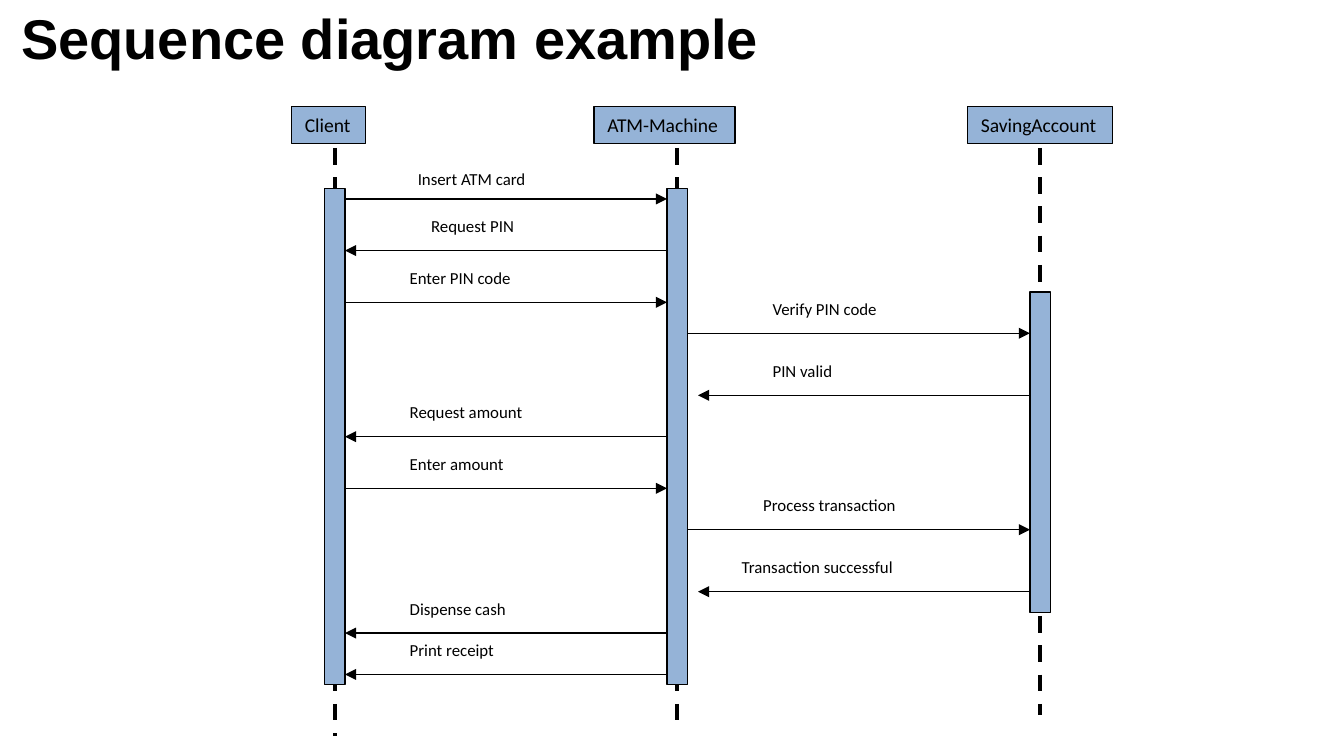
from pptx import Presentation
from pptx.dml.color import RGBColor
from pptx.enum.dml import MSO_LINE
from pptx.enum.shapes import MSO_CONNECTOR, MSO_SHAPE
from pptx.enum.text import MSO_ANCHOR, MSO_AUTO_SIZE, PP_ALIGN
from pptx.oxml.ns import qn
from pptx.util import Inches, Pt
from lxml.etree import SubElement

BLACK = RGBColor(0x00, 0x00, 0x00)
BLUE = RGBColor(0x95, 0xB3, 0xD7)
WHITE = RGBColor(0xFF, 0xFF, 0xFF)

WIDE = Inches(10)
HIGH = WIDE * 9 // 16
UNIT = 1 / 13
TOP = 1.48
COLS = (2.49, 5.04, 7.74)

HEADS = (
    ("Client", 2.17, 0.55),
    ("ATM-Machine", 4.42, 1.05),
    ("SavingAccount", 7.2, 1.08),
)
ENDS = (5.48, 5.4, 5.32)
BARS = ((-1, 48), (-1, 48), (9, 31))

CALLS = (
    ("Insert ATM card", 0, 0, 1, 3.01, 1.02),
    ("Request PIN", 5, 1, 0, 3.11, 0.83),
    ("Enter PIN code", 10, 0, 1, 2.95, 0.96),
    ("Verify PIN code", 13, 1, 2, 5.65, 0.99),
    ("PIN valid", 19, 2, 1, 5.65, 0.65),
    ("Request amount", 23, 1, 0, 2.95, 1.05),
    ("Enter amount", 28, 0, 1, 2.95, 0.91),
    ("Process transaction", 32, 1, 2, 5.58, 1.2),
    ("Transaction successful", 38, 2, 1, 5.42, 1.34),
    ("Dispense cash", 42, 1, 0, 2.95, 0.92),
    ("Print receipt", 46, 1, 0, 2.95, 0.84),
)


def row(n):
    """Return the height on the slide of a time row."""
    return TOP + n * UNIT


def write(shape, text, size, face="Calibri", bold=False, wrap=False):
    """Put one left-aligned paragraph into a shape."""
    frame = shape.text_frame
    frame.word_wrap = wrap
    frame.auto_size = MSO_AUTO_SIZE.NONE if wrap else MSO_AUTO_SIZE.SHAPE_TO_FIT_TEXT
    frame.vertical_anchor = MSO_ANCHOR.TOP
    para = frame.paragraphs[0]
    para.text = text
    para.alignment = PP_ALIGN.LEFT
    font = para.font
    font.name, font.size, font.bold = face, Pt(size), bold
    font.color.rgb = BLACK


def label(slide, text, size, box, **style):
    """Add a text box."""
    shape = slide.shapes.add_textbox(*map(Inches, box))
    write(shape, text, size, **style)


def block(slide, *box):
    """Add a blue rectangle with a thin black outline."""
    shape = slide.shapes.add_shape(MSO_SHAPE.RECTANGLE, *map(Inches, box))
    shape.shadow.inherit = False
    shape.fill.solid()
    shape.fill.fore_color.rgb = BLUE
    shape.line.color.rgb = BLACK
    shape.line.width = Pt(0.75)
    return shape


def link(slide, ends, width):
    """Add a straight black line without a shadow."""
    line = slide.shapes.add_connector(MSO_CONNECTOR.STRAIGHT, *map(Inches, ends))
    line.line.color.rgb = BLACK
    line.line.width = Pt(width)
    SubElement(line._element.spPr, qn("a:effectLst"))
    return line


def call(slide, text, step, start, end, left, width):
    """Add a message arrow with its label above."""
    y = row(step)
    if start < end:
        tip = COLS[end] - UNIT
    else:
        tip = COLS[end] + UNIT * start
    arrow = link(slide, (COLS[start], y, tip, y), 0.75)
    SubElement(arrow._element.spPr.get_or_add_ln(), qn("a:tailEnd"), type="triangle")
    rise = 4 if step else 3.6
    label(slide, text, 9, (left, y - rise * UNIT, width, 0.25))


def main():
    """Build the sequence diagram slide."""
    deck = Presentation()
    deck.slide_width, deck.slide_height = WIDE, HIGH
    slide = deck.slides.add_slide(deck.slide_layouts[6])
    slide.background.fill.solid()
    slide.background.fill.fore_color.rgb = WHITE

    for text, left, width in HEADS:
        write(block(slide, left, 0.79, width, 0.28), text, 10.5)
    for x, end in zip(COLS, ENDS):
        life = link(slide, (x, 1.1, x, end), 2.25)
        life.line.dash_style = MSO_LINE.DASH
    for item in CALLS:
        call(slide, *item)
    for x, (first, count) in zip(COLS, BARS):
        block(slide, x - UNIT, row(first), 2 * UNIT, count * UNIT)
    label(slide, "Sequence diagram example", 30, (0.06, -0.02, 9, 0.62),
          face="Arial", bold=True, wrap=True)

    deck.save("out.pptx")


if __name__ == "__main__":
    main()
